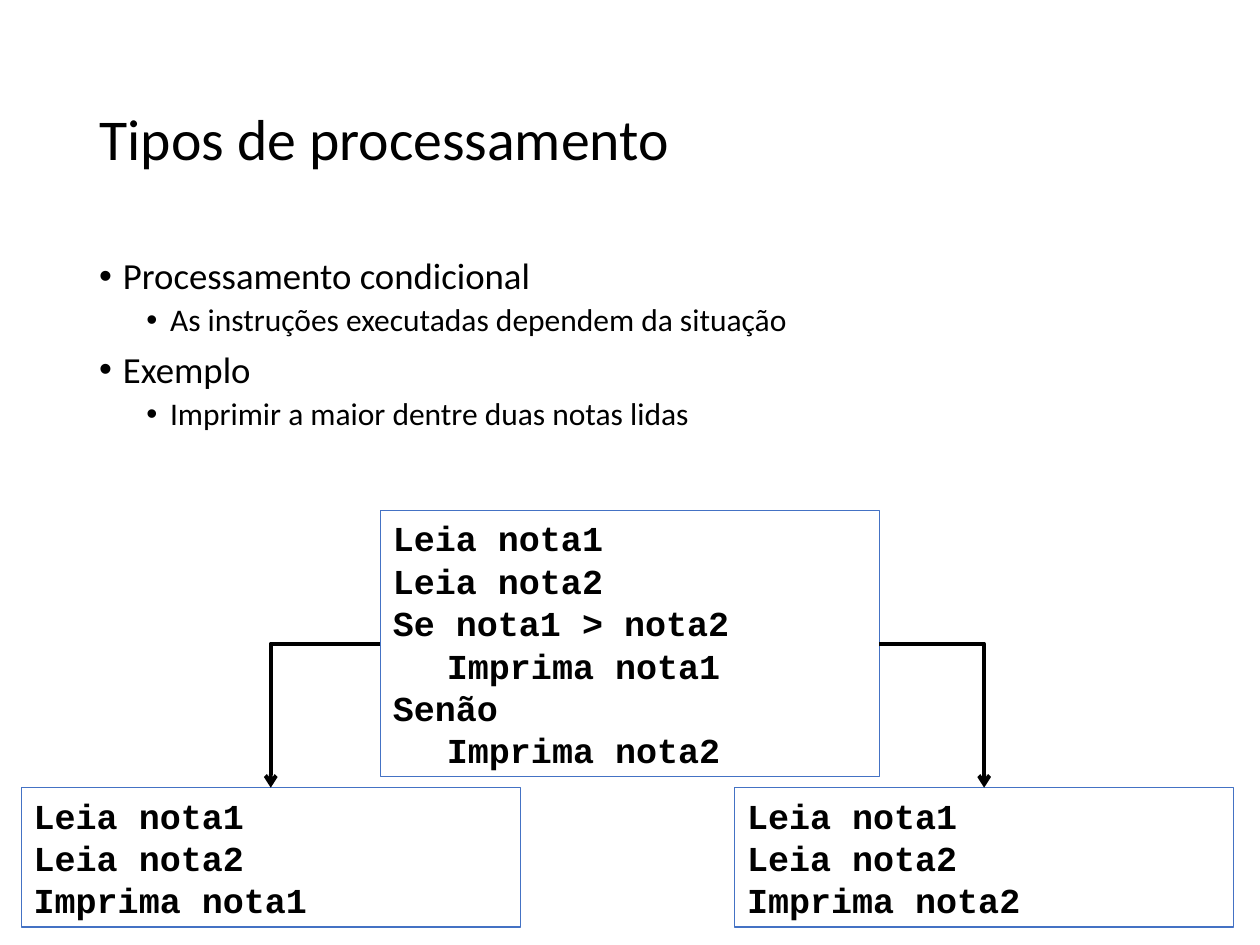
"""Builds the slide on conditional processing with its two execution paths."""
from dataclasses import dataclass

from lxml.etree import SubElement
from pptx import Presentation
from pptx.dml.color import RGBColor as Rgb
from pptx.enum.shapes import MSO_CONNECTOR as Connector, MSO_SHAPE as Shape
from pptx.enum.text import MSO_ANCHOR as Anchor, MSO_AUTO_SIZE as AutoSize, PP_ALIGN as Align
from pptx.oxml.ns import qn
from pptx.util import Cm, Pt

TOP, LEFT, RIGHT = 0, 1, 3


@dataclass(frozen=True)
class Theme:
    ink: Rgb = Rgb(0, 0, 0)
    border: Rgb = Rgb(0x44, 0x72, 0xC4)
    prose: str = "Calibri"
    code: str = "Courier New"
    title_size: float = 33
    topic_sizes: tuple = (21, 18)
    topic_gaps: tuple = (7.5, 3.8)
    topic_margins: tuple = (0.48, 1.43)
    code_size: float = 20
    code_pitch: float = 24.2
    code_margins: tuple = (0, 1.09)
    border_width: float = 0.75
    arrow_width: float = 2.25


class SlideBuilder:
    def __init__(self, slide, theme):
        self.slide = slide
        self.theme = theme

    def apply(self, target, formats):
        for attribute, value in formats.items():
            setattr(target, attribute, value)

    def add_lines(self, frame, entries, font, paragraph_format):
        added = []
        for index, (level, wording) in enumerate(entries):
            paragraph = frame.paragraphs[0] if index == 0 else frame.add_paragraph()
            self.apply(paragraph, {"level": level, "alignment": Align.LEFT, **paragraph_format(level)})
            run = paragraph.add_run()
            run.text = wording
            self.apply(run.font, font(level))
            run.font.color.rgb = self.theme.ink
            added.append((level, paragraph._p.get_or_add_pPr()))
        return added

    def title(self, wording, left, top, width, height):
        heading = self.slide.shapes.title
        self.apply(heading, {"left": left, "top": top, "width": width, "height": height})
        heading.text_frame.vertical_anchor = Anchor.MIDDLE
        font = {"name": self.theme.prose, "size": Pt(self.theme.title_size)}
        self.add_lines(heading.text_frame, [(0, wording)],
                       lambda level: font, lambda level: {"line_spacing": 0.9})

    def topics(self, entries, left, top, width, height):
        theme = self.theme
        frame = self.slide.shapes.add_textbox(left, top, width, height).text_frame
        frame.word_wrap = True
        for level, properties in self.add_lines(
                frame, entries,
                lambda level: {"name": theme.prose, "size": Pt(theme.topic_sizes[level])},
                lambda level: {"line_spacing": 0.9, "space_before": Pt(theme.topic_gaps[level])}):
            properties.set("marL", str(Cm(theme.topic_margins[level])))
            properties.set("indent", str(-Cm(0.48)))
            SubElement(properties, qn("a:buFont"), typeface="Arial")
            SubElement(properties, qn("a:buChar"), char="•")

    def code_box(self, entries, left, top, width):
        theme = self.theme
        height = len(entries) * Pt(theme.code_pitch) + Cm(0.25)
        box = self.slide.shapes.add_shape(Shape.RECTANGLE, left, top, width, height)
        box.shadow.inherit = False
        box.fill.background()
        box.line.color.rgb = theme.border
        box.line.width = Pt(theme.border_width)
        self.apply(box.text_frame, {"word_wrap": True, "vertical_anchor": Anchor.TOP,
                                    "auto_size": AutoSize.SHAPE_TO_FIT_TEXT})
        font = {"name": theme.code, "size": Pt(theme.code_size), "bold": True}
        spacing = {"line_spacing": Pt(theme.code_pitch)}
        for level, properties in self.add_lines(box.text_frame, entries,
                                                lambda level: font, lambda level: spacing):
            properties.set("marL", str(Cm(theme.code_margins[level])))
        return box

    def elbow_arrow(self, source, side, target):
        arrow = self.slide.shapes.add_connector(Connector.ELBOW, 0, 0, 0, 0)
        arrow.begin_connect(source, side)
        arrow.end_connect(target, TOP)
        arrow.line.color.rgb = self.theme.ink
        arrow.line.width = Pt(self.theme.arrow_width)
        properties = arrow._element.spPr
        properties.find(qn("a:prstGeom")).set("prst", "bentConnector2")
        SubElement(properties.find(qn("a:ln")), qn("a:tailEnd"), type="arrow")
        SubElement(properties, qn("a:effectLst"))


def main():
    deck = Presentation()
    deck.slide_width, deck.slide_height = Cm(25.4), Cm(19.05)
    builder = SlideBuilder(deck.slides.add_slide(deck.slide_layouts[5]), Theme())

    builder.title("Tipos de processamento", Cm(1.75), Cm(1.02), Cm(21.9), Cm(3.68))
    builder.topics([
        (0, "Processamento condicional"),
        (1, "As instruções executadas dependem da situação"),
        (0, "Exemplo"),
        (1, "Imprimir a maior dentre duas notas lidas"),
    ], Cm(1.75), Cm(5.08), Cm(21.9), Cm(12.09))

    box_width = Cm(10.06)
    reading = [(0, "Leia nota1"), (0, "Leia nota2")]
    algorithm = builder.code_box(reading + [
        (0, "Se nota1 > nota2"),
        (1, "Imprima nota1"),
        (0, "Senão"),
        (1, "Imprima nota2"),
    ], Cm(7.67), Cm(10.29), box_width)
    for side, left, grade in ((RIGHT, 14.81, "nota2"), (LEFT, 0.43, "nota1")):
        outcome = builder.code_box(reading + [(0, f"Imprima {grade}")],
                                   Cm(left), Cm(15.88), box_width)
        builder.elbow_arrow(algorithm, side, outcome)

    deck.save("out.pptx")


if __name__ == "__main__":
    main()
